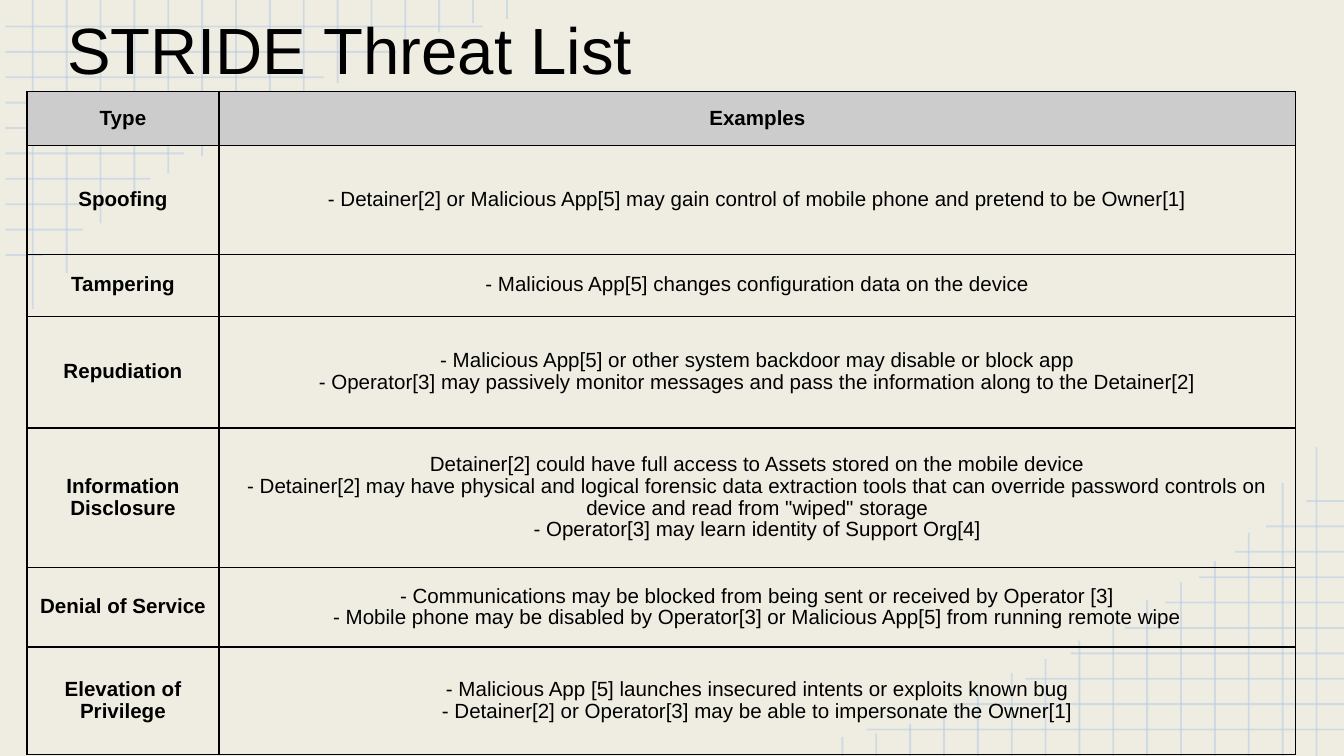
from lxml.etree import SubElement
from pptx import Presentation
from pptx.dml.color import RGBColor
from pptx.enum.shapes import MSO_CONNECTOR
from pptx.enum.text import MSO_ANCHOR, PP_ALIGN
from pptx.oxml import parse_xml
from pptx.oxml.ns import nsdecls, qn
from pptx.util import Cm, Pt

COLORS = {
    "background": "EFEDE2",
    "grid": "B7CCE4",
    "header": "CCCCCC",
    "ink": "000000",
}
FONT = "Arial"
SLIDE_WIDTH, SLIDE_HEIGHT = 25.4, 14.29

GRID_EDGE = 0.1
ROW_START, ROW_STEP = 0.5, 0.48
COLUMN_START, COLUMN_STEP = 0.62, 0.64
ROW_REACHES = [9.12, 7.49, 6.12, 5.26, 4.24, 3.48, 2.84, 2.16, 1.57, 0.81]
COLUMN_REACHES = [5.84, 5.16, 4.22, 3.68, 3.28, 2.95, 2.51, 2.18, 1.83,
                  1.57, 1.22, 0.84, 0.61, 0.43, 0.36]

COLUMN_WIDTHS = [3.63, 20.35]
THREATS = [
    ("Type", 1.02, ["Examples"]),
    ("Spoofing", 2.06, [
        "- Detainer[2] or Malicious App[5] may gain control of mobile phone and pretend to be Owner[1]",
    ]),
    ("Tampering", 1.17, [
        "- Malicious App[5] changes configuration data on the device",
    ]),
    ("Repudiation", 2.11, [
        "- Malicious App[5] or other system backdoor may disable or block app",
        "- Operator[3] may passively monitor messages and pass the information along to the Detainer[2]",
    ]),
    ("Information Disclosure", 2.64, [
        "Detainer[2] could have full access to Assets stored on the mobile device",
        "- Detainer[2] may have physical and logical forensic data extraction tools that can override "
        "password controls on device and read from \"wiped\" storage",
        "- Operator[3] may learn identity of Support Org[4]",
    ]),
    ("Denial of Service", 1.5, [
        "- Communications may be blocked from being sent or received by Operator [3]",
        "- Mobile phone may be disabled by Operator[3] or Malicious App[5] from running remote wipe",
    ]),
    ("Elevation of Privilege", 2.03, [
        "- Malicious App [5] launches insecured intents or exploits known bug",
        "- Detainer[2] or Operator[3] may be able to impersonate the Owner[1]",
    ]),
]


def rgb(name):
    return RGBColor.from_string(COLORS[name])


def write_lines(frame, lines, size, bold=False, align=PP_ALIGN.LEFT):
    for index, line in enumerate(lines):
        paragraph = frame.add_paragraph() if index else frame.paragraphs[0]
        paragraph.text = line
        paragraph.alignment = align
        paragraph.line_spacing = 0.95
        paragraph.font.name = FONT
        paragraph.font.size = Pt(size)
        paragraph.font.bold = bold
        paragraph.font.color.rgb = rgb("ink")


def add_corner_grid(slide, corner_x, corner_y, direction):
    rows = [(GRID_EDGE, y, reach, y) for y, reach in
            ((ROW_START + i * ROW_STEP, r) for i, r in enumerate(ROW_REACHES))]
    columns = [(x, reach, x, 0) for x, reach in
               ((COLUMN_START + i * COLUMN_STEP, r) for i, r in enumerate(COLUMN_REACHES))]
    grid = slide.shapes.add_group_shape()
    for x1, y1, x2, y2 in rows + columns:
        stroke = grid.shapes.add_connector(
            MSO_CONNECTOR.STRAIGHT,
            Cm(corner_x + direction * x1), Cm(corner_y + direction * y1),
            Cm(corner_x + direction * x2), Cm(corner_y + direction * y2))
        stroke.line.color.rgb = rgb("grid")
        stroke.line.width = Pt(1)
        properties = stroke._element.spPr
        SubElement(next(properties.iter(qn("a:srgbClr"))), qn("a:alpha"), val="54000")
        SubElement(properties, qn("a:effectLst"))


def add_title(slide, left, top, width, height):
    frame = slide.shapes.add_textbox(Cm(left), Cm(top), Cm(width), Cm(height)).text_frame
    frame.word_wrap = True
    frame.margin_left = frame.margin_right = frame.margin_top = frame.margin_bottom = 0
    frame.vertical_anchor = MSO_ANCHOR.TOP
    write_lines(frame, ["STRIDE Threat List"], 35)


def set_borders(cell):
    properties = cell._tc.get_or_add_tcPr()
    for index, side in enumerate("LRTB"):
        properties.insert(index, parse_xml(
            f'<a:ln{side} {nsdecls("a")} w="{Pt(0.75)}"><a:solidFill>'
            f'<a:srgbClr val="{COLORS["ink"]}"/></a:solidFill></a:ln{side}>'))


def add_threat_table(slide, left, top, width, height):
    table = slide.shapes.add_table(
        len(THREATS), len(COLUMN_WIDTHS), Cm(left), Cm(top), Cm(width), Cm(height)).table
    table.first_row = table.horz_banding = False
    for column, column_width in zip(table.columns, COLUMN_WIDTHS):
        column.width = Cm(column_width)
    for row_index, (threat, row_height, examples) in enumerate(THREATS):
        is_header = row_index == 0
        table.rows[row_index].height = Cm(row_height)
        for column_index, lines in enumerate(([threat], examples)):
            cell = table.cell(row_index, column_index)
            cell.margin_left = cell.margin_right = cell.margin_top = cell.margin_bottom = 0
            cell.vertical_anchor = MSO_ANCHOR.MIDDLE
            if is_header:
                cell.fill.solid()
                cell.fill.fore_color.rgb = rgb("header")
            else:
                cell.fill.background()
            set_borders(cell)
            write_lines(cell.text_frame, lines, 11, is_header or column_index == 0,
                        PP_ALIGN.CENTER)


def main():
    deck = Presentation()
    deck.slide_width, deck.slide_height = Cm(SLIDE_WIDTH), Cm(SLIDE_HEIGHT)
    slide = deck.slides.add_slide(deck.slide_layouts[6])
    slide.background.fill.solid()
    slide.background.fill.fore_color.rgb = rgb("background")
    add_corner_grid(slide, 0, 0, 1)
    add_corner_grid(slide, SLIDE_WIDTH + GRID_EDGE, SLIDE_HEIGHT, -1)
    add_title(slide, 1.27, 0.28, 20.32, 2.82)
    add_threat_table(slide, 0.51, 1.73, sum(COLUMN_WIDTHS),
                     sum(row_height for _, row_height, _ in THREATS))
    deck.save("out.pptx")


if __name__ == "__main__":
    main()
